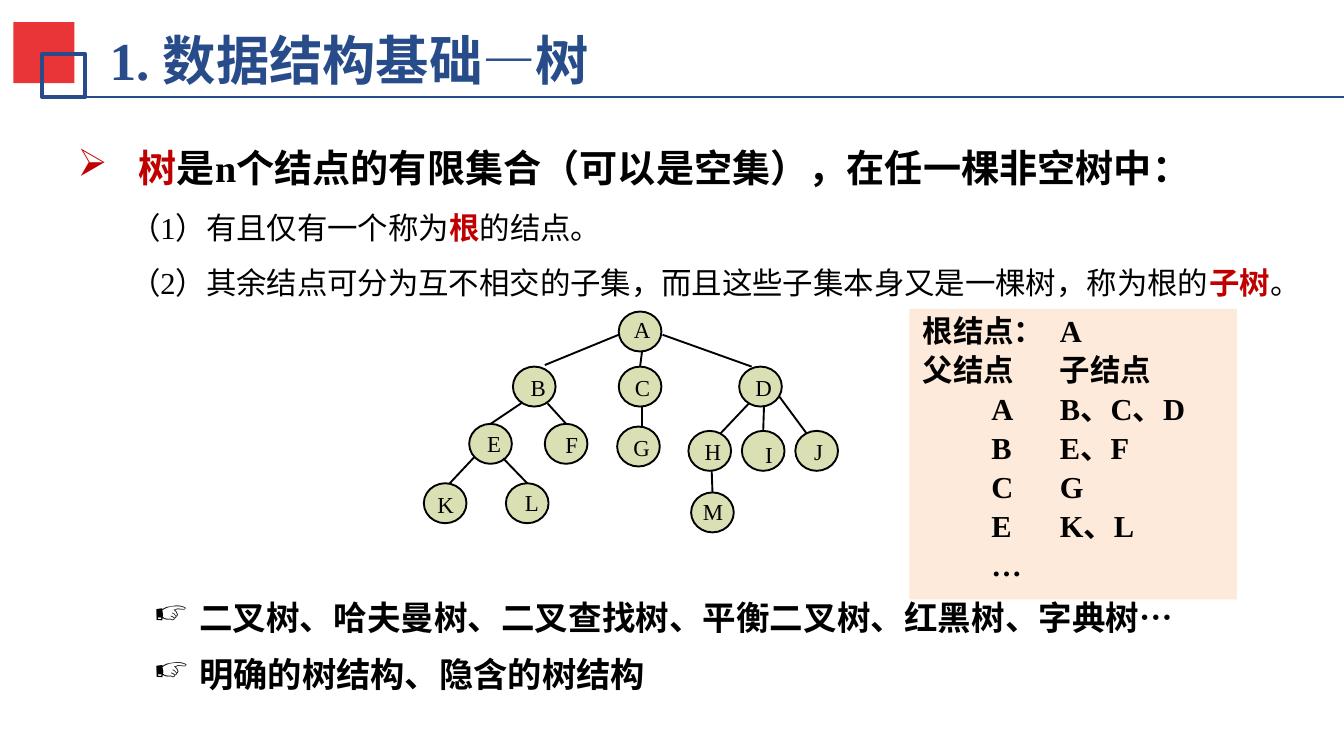
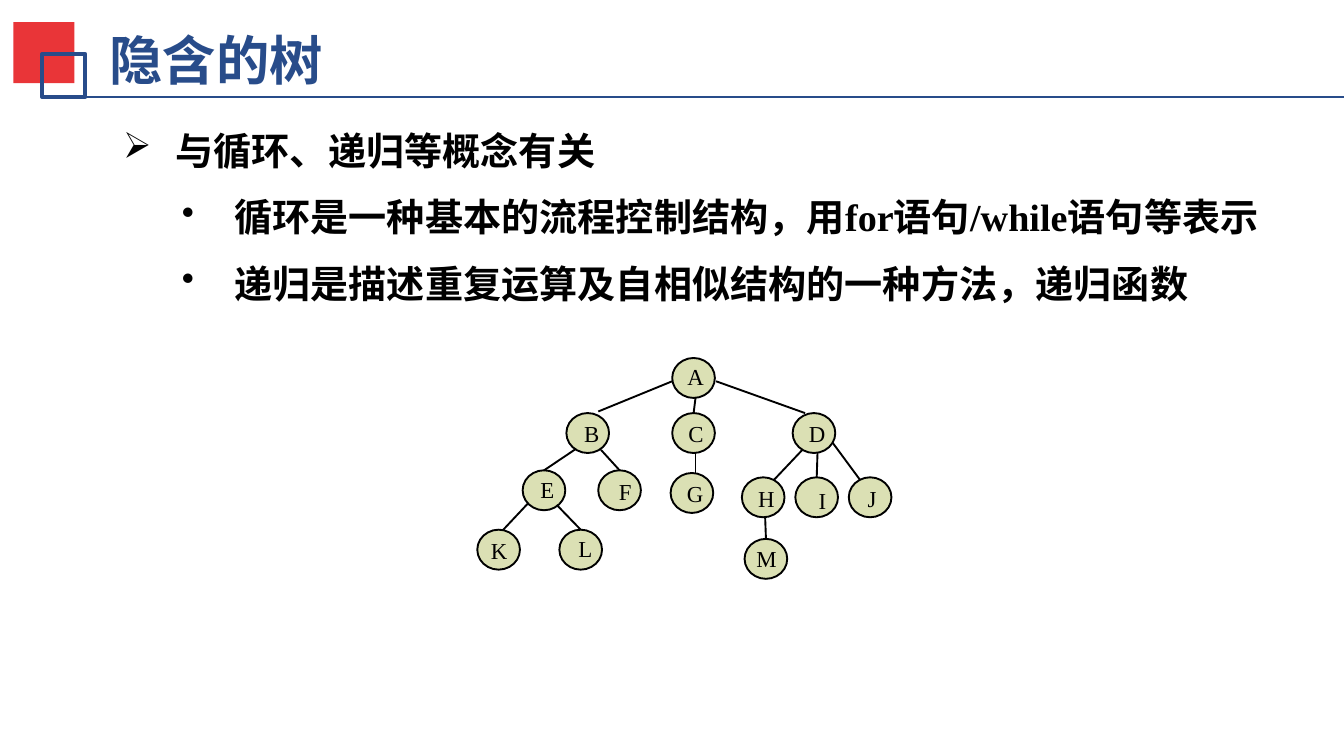
from lxml.etree import SubElement
from pptx import Presentation
from pptx.dml.color import RGBColor
from pptx.enum.shapes import MSO_CONNECTOR, MSO_SHAPE
from pptx.enum.text import MSO_ANCHOR, PP_ALIGN
from pptx.oxml.ns import qn
from pptx.util import Cm, Pt

COLORS = {
    "title": "284C8A", "square": "E93538", "text": "000000", "space": "1F497D",
    "key": "C00000", "node": "DBE0B4", "panel": "FDEADA",
}
SERIF = "Times New Roman"
BODY = {"name": SERIF, "color": "text", "bold": True}
DEFAULT_INSETS = (0.25, 0.13)

NODE_WIDTH, NODE_HEIGHT = 0.79, 0.74
NODES = {
    "A": (3.61, 0, 0.03, -0.05), "B": (1.65, 1.02, 0.08, 0),
    "C": (3.61, 1.02, 0.05, 0), "D": (5.84, 1.02, 0.05, 0),
    "E": (0.84, 2.08, 0.08, -0.03), "F": (2.24, 2.08, 0.13, 0),
    "G": (3.58, 2.13, 0.05, 0), "H": (4.9, 2.21, 0.05, 0),
    "I": (5.89, 2.21, 0.18, 0.05), "J": (6.88, 2.21, 0.1, 0),
    "K": (0, 3.18, 0, 0), "L": (1.52, 3.18, 0.1, -0.03),
    "M": (4.95, 3.35, -0.03, -0.03),
}
EDGES = [
    ((4.04, 0.74), "C"), ((3.61, 0.43), (2.24, 0.99)), ((4.42, 0.43), (6.07, 1.02)),
    ((1.83, 1.68), "E"), ((2.29, 1.7), "F"), ((4.04, 1.75), (4.04, 2.13)),
    ((6.02, 1.7), (5.49, 2.26)), ((6.3, 1.75), "I"), ((6.58, 1.57), (7.09, 2.26)),
    ((0.94, 2.69), (0.48, 3.18)), ((1.47, 2.72), "L"), ((5.33, 2.95), "M"),
]
PANEL_ROWS = [
    ("根结点：\tA", [2.63]),
    ("父结点\t子结点", [2.34]),
    ("\tA\tB、C、D", [0.54, 2.6]),
    ("\tB\tE、F", [0.54, 2.63]),
    ("\tC\tG", [0.54, 2.65]),
    ("\tE\tK、L", [0.54, 2.63]),
    ("\t…", [0.44]),
]


def rgb(name):
    """Return the named colour."""
    return RGBColor.from_string(COLORS[name])


def add_runs(paragraph, runs, base):
    """Add runs, each changing the format of the one before; newlines break lines."""
    style = dict(base)
    for text, changes in runs:
        style.update(changes)
        for index, line in enumerate(text.split("\n")):
            if index:
                paragraph.add_line_break()
            if not line:
                continue
            run = paragraph.add_run()
            run.text = line
            for attribute, value in style.items():
                if attribute == "color":
                    run.font.color.rgb = rgb(value)
                else:
                    setattr(run.font, attribute, value)


def format_paragraph(paragraph, margin=0, hanging=0, before=None, bullet=None,
                     bullet_color=None, bullet_size=None, tabs=(), spacing=None):
    """Set indents, relative space before, bullet, tab stops and line spacing."""
    properties = paragraph._p.get_or_add_pPr()
    properties.set("marL", str(Cm(margin)))
    properties.set("indent", str(-Cm(hanging)))
    if before:
        space = SubElement(properties, qn("a:spcBef"))
        SubElement(space, qn("a:spcPct")).set("val", str(before * 1000))
    if bullet_color:
        color = SubElement(properties, qn("a:buClr"))
        SubElement(color, qn("a:srgbClr")).set("val", COLORS[bullet_color])
    if bullet_size:
        SubElement(properties, qn("a:buSzPct")).set("val", str(bullet_size * 1000))
    if bullet:
        SubElement(properties, qn("a:buChar")).set("char", bullet)
    if tabs:
        stops = SubElement(properties, qn("a:tabLst"))
        for position in tabs:
            stop = SubElement(stops, qn("a:tab"))
            stop.set("pos", str(Cm(position)))
            stop.set("algn", "l")
    paragraph.alignment = PP_ALIGN.LEFT
    if spacing:
        paragraph.line_spacing = spacing


def fill_text(shape, paragraphs, base, insets=DEFAULT_INSETS):
    """Fill a shape with (runs, paragraph format) pairs."""
    frame = shape.text_frame
    horizontal, vertical = (Cm(inset) for inset in insets)
    settings = {
        "word_wrap": True, "vertical_anchor": MSO_ANCHOR.TOP,
        "margin_left": horizontal, "margin_right": horizontal,
        "margin_top": vertical, "margin_bottom": vertical,
    }
    for attribute, value in settings.items():
        setattr(frame, attribute, value)
    for index, (runs, layout) in enumerate(paragraphs):
        paragraph = frame.add_paragraph() if index else frame.paragraphs[0]
        format_paragraph(paragraph, **layout)
        add_runs(paragraph, runs, base)
    return frame


def add_text(shapes, box, paragraphs, base, insets=DEFAULT_INSETS):
    """Add a text box at a box given in centimetres."""
    shape = shapes.add_textbox(*(Cm(length) for length in box))
    return fill_text(shape, paragraphs, base, insets)


def add_box(shapes, kind, box, fill=None, line=None, width=1):
    """Add a preset shape with an optional fill and outline."""
    shape = shapes.add_shape(kind, *(Cm(length) for length in box))
    shape.shadow.inherit = False
    if fill:
        shape.fill.solid()
        shape.fill.fore_color.rgb = rgb(fill)
    else:
        shape.fill.background()
    if line:
        shape.line.color.rgb = rgb(line)
        shape.line.width = Pt(width)
    else:
        shape.line.fill.background()
    return shape


def add_line(shapes, start, end, color, width):
    """Add a straight line between two points."""
    points = (Cm(length) for length in (*start, *end))
    line = shapes.add_connector(MSO_CONNECTOR.STRAIGHT, *points)
    SubElement(line._element.spPr, qn("a:effectLst"))
    line.line.color.rgb = rgb(color)
    line.line.width = Pt(width)
    return line


def add_titled_slide(presentation, title_runs):
    """Add a blank slide with the shared title, squares and rule."""
    slide = presentation.slides.add_slide(presentation.slide_layouts[6])
    style = {"name": SERIF, "size": Pt(28), "bold": True, "color": "title"}
    add_text(slide.shapes, (1.85, 0.41, 17.55, 1.4), [(title_runs, {})], style, (0.18, 0.1))
    add_box(slide.shapes, MSO_SHAPE.RECTANGLE, (0.25, 0.41, 1.13, 1.13), "square")
    add_box(slide.shapes, MSO_SHAPE.RECTANGLE, (0.78, 1, 0.8, 0.8), line="title", width=2)
    add_line(slide.shapes, (0.97, 1.8), (24.89, 1.8), "title", 0.75)
    return slide


def add_tree(slide, left, top):
    """Draw the tree with its upper left corner at the given point."""
    shapes = slide.shapes.add_group_shape().shapes
    style = {"name": SERIF, "size": Pt(12), "color": "text"}
    ellipses = {}
    for name, (x, y, shift_x, shift_y) in NODES.items():
        box = (left + x, top + y, NODE_WIDTH, NODE_HEIGHT)
        ellipses[name] = add_box(shapes, MSO_SHAPE.OVAL, box, "node", "text")
        label_box = (left + x + shift_x, top + y + shift_y, 0.8, 0.66)
        add_text(shapes, label_box, [([(name, {})], {"before": 50})], style)
    for start, end in EDGES:
        child = ellipses.get(end)
        x, y = NODES[end][:2] if child else end
        line = add_line(shapes, (left + start[0], top + start[1]),
                        (left + x, top + y), "text", 1)
        if child:
            line.end_connect(child, 0)


def add_pointer(slide, top, text, size):
    """Add one line marked with a pointing hand."""
    layout = {"margin": 0.84, "hanging": 0.84, "before": 20, "bullet": "☞"}
    add_text(slide.shapes, (2.62, top, 20.6, 1.22), [([(text, {})], layout)],
             {**BODY, "size": Pt(size)}, (0.23, 0.1))


def add_panel(slide, box):
    """Add the table of parents and children on a tinted panel."""
    panel = add_box(slide.shapes, MSO_SHAPE.RECTANGLE, box, "panel")
    paragraphs = [
        ([(text, {})], {"before": 20, "spacing": 0.9, "tabs": tabs})
        for text, tabs in PANEL_ROWS
    ]
    fill_text(panel, paragraphs, {**BODY, "size": Pt(16)})


def build_tree_slide(presentation):
    """Build the slide that defines a tree."""
    slide = add_titled_slide(
        presentation, [("1. ", {}), ("数据结构基础—树", {"name": "Arial"})])
    add_pointer(slide, 10.95, "二叉树、哈夫曼树、二叉查找树、平衡二叉树、红黑树、字典树…", 17.6)
    add_tree(slide, 7.85, 5.77)
    key = {"color": "key", "bold": True}
    plain = {"color": "text", "bold": False}
    runs = [
        (" ", {"color": "space"}),
        ("树", key),
        ("是n个结点的有限集合（可以是空集），在任一棵非空树中：\n", {"color": "text"}),
        ("（1）有且仅有一个称为", {"size": Pt(16), "bold": False}),
        ("根", key),
        ("的结点。\n（2）其余结点可分为互不相交的子集，而且这些子集本身又是一棵树，称为根的", plain),
        ("子树", key),
        ("。", plain),
    ]
    layout = {"margin": 0.97, "hanging": 0.97, "before": 50, "spacing": 1.5,
              "bullet": "➢", "bullet_color": "key"}
    add_text(slide.shapes, (1.19, 2.13, 22.68, 3.58), [(runs, layout)],
             {**BODY, "size": Pt(20)})
    add_pointer(slide, 11.99, "明确的树结构、隐含的树结构", 18)
    add_panel(slide, (16.84, 5.72, 6.07, 5.38))


def build_implicit_slide(presentation):
    """Build the slide on implicit trees."""
    slide = add_titled_slide(presentation, [("隐含的树", {})])
    lines = [
        ("与循环、递归等概念有关", 0.97, "➢"),
        ("循环是一种基本的流程控制结构，用for语句/while语句等表示", 2.06, "•"),
        ("递归是描述重复运算及自相似结构的一种方法，递归函数", 2.06, "•"),
    ]
    paragraphs = [
        ([(text, {})], {"margin": margin, "hanging": 0.97, "spacing": 1.2,
                        "bullet": bullet, "bullet_size": 95})
        for text, margin, bullet in lines
    ]
    frame = add_text(slide.shapes, (2.03, 2.06, 22.02, 5.94), paragraphs,
                     {**BODY, "size": Pt(20)})
    for paragraph in frame.paragraphs:
        paragraph.space_before = Pt(6)
    add_tree(slide, 8.84, 6.63)


def main():
    """Build and save the presentation."""
    presentation = Presentation()
    presentation.slide_width = Cm(24.89)
    presentation.slide_height = Cm(14)
    build_tree_slide(presentation)
    build_implicit_slide(presentation)
    presentation.save("out.pptx")


if __name__ == "__main__":
    main()
